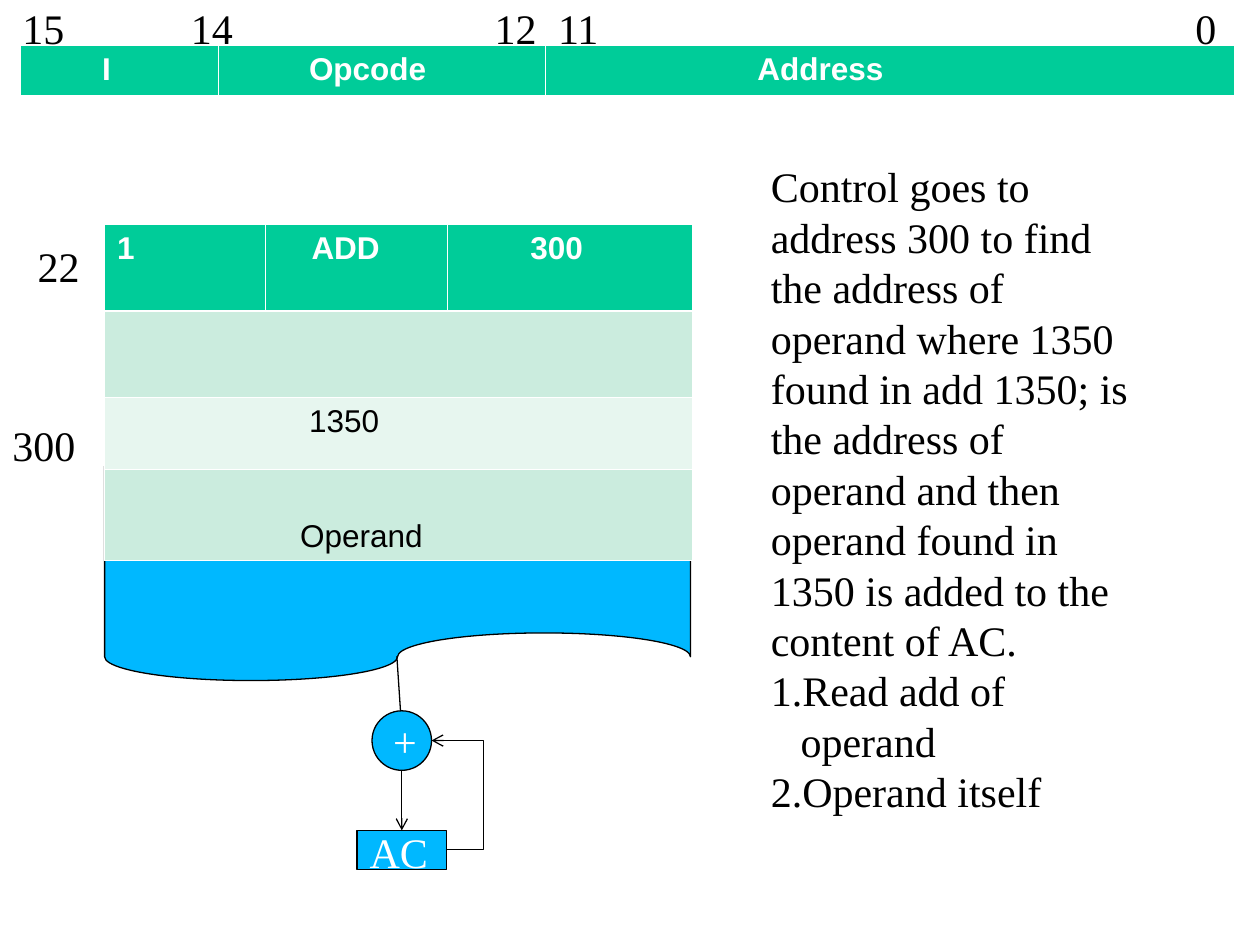
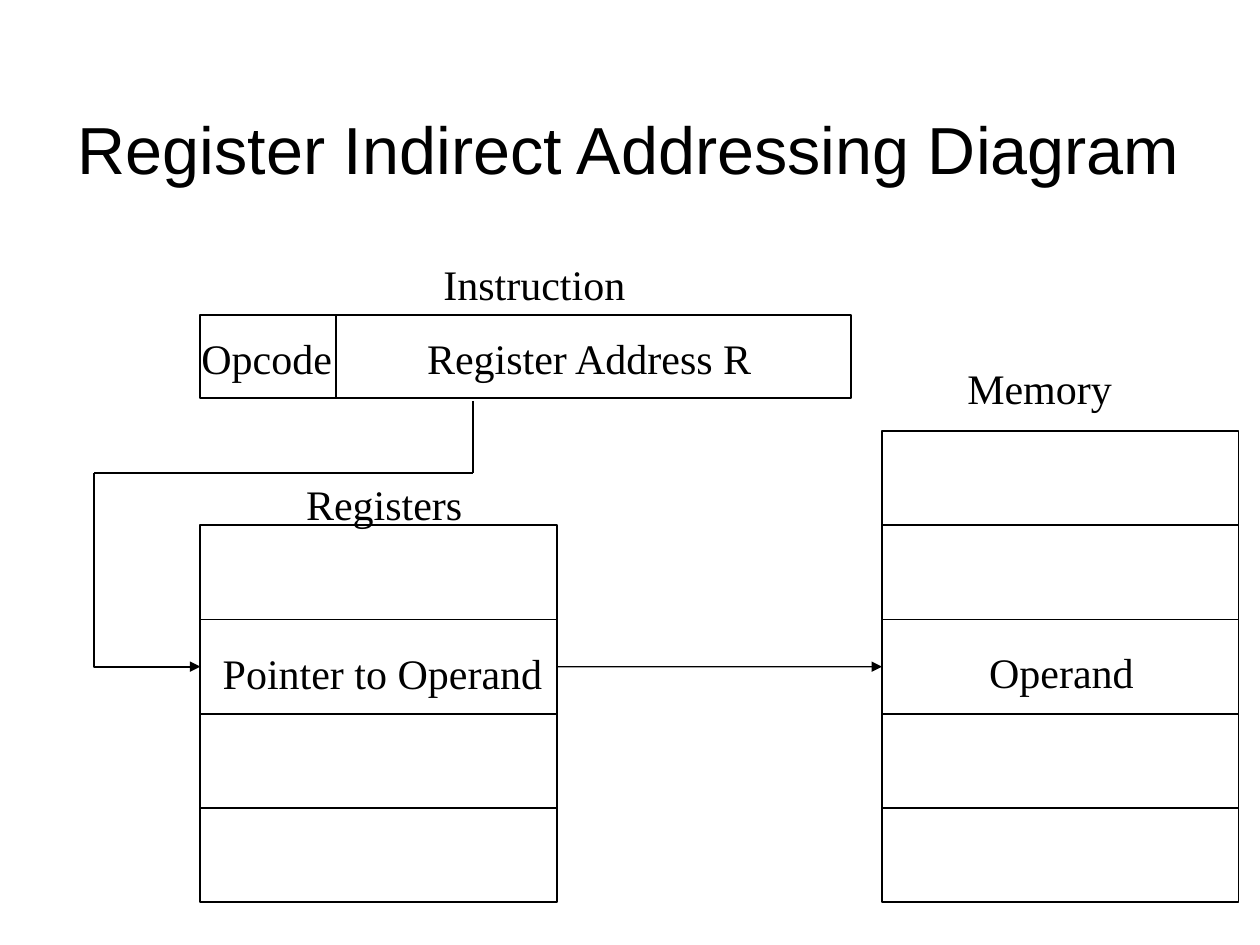
"""Builds two slides on indirect and register indirect addressing."""
from lxml.etree import SubElement
from pptx import Presentation
from pptx.dml.color import RGBColor
from pptx.enum.shapes import MSO_CONNECTOR as Link, MSO_SHAPE as Shape
from pptx.enum.text import MSO_ANCHOR as Anchor, MSO_AUTO_SIZE as Fit, PP_ALIGN as Align
from pptx.oxml.ns import qn
from pptx.util import Cm, Pt

BLACK = RGBColor(0x00, 0x00, 0x00)
WHITE = RGBColor(0xFF, 0xFF, 0xFF)
BLUE = RGBColor(0x00, 0xB8, 0xFF)
GREEN = RGBColor(0x00, 0xCC, 0x99)
MINT = RGBColor(0xCB, 0xEC, 0xDE)
PALE = RGBColor(0xE7, 0xF6, 0xEF)

LABEL = {"name": "Times New Roman", "size": Pt(24), "bold": False}
CELL = {"name": "Arial", "size": Pt(18), "bold": False}
HEADER = CELL | {"bold": True}
TITLE = {"name": "Arial", "size": Pt(38), "bold": False}
ROW_HEIGHT = 1.9
STACK_WIDTH = 7.19


def apply_format(target, values):
    """Set every attribute named in values on target."""
    for name, value in values.items():
        setattr(target, name, value)


def write(para, text, font=LABEL, color=BLACK):
    """Put formatted text in a paragraph."""
    span = para.add_run()
    span.text = text
    apply_format(span.font, font)
    span.font.color.rgb = color


def draw_line(shape, width, arrow=None):
    """Give a shape or connector a black line, without shadow."""
    shape.line.color.rgb = BLACK
    shape.line.width = Pt(width)
    properties = shape.element.spPr
    if arrow:
        SubElement(properties.find(qn("a:ln")), qn("a:tailEnd"), type=arrow)
    if properties.find(qn("a:effectLst")) is None:
        SubElement(properties, qn("a:effectLst"))


def add_label(page, place, *texts, wrap=False):
    """Add a text box with one paragraph for each text."""
    box = page.shapes.add_textbox(*map(Cm, place))
    frame = box.text_frame
    apply_format(frame, {"word_wrap": wrap, "auto_size": Fit.SHAPE_TO_FIT_TEXT})
    for index, text in enumerate(texts):
        write(frame.add_paragraph() if index else frame.paragraphs[0], text)
    return frame.paragraphs


def add_box(page, kind, place, fill=None, text=None, width=0.75):
    """Add a preset shape, filled and labelled on request."""
    box = page.shapes.add_shape(kind, *map(Cm, place))
    if fill is None:
        box.fill.background()
    else:
        box.fill.solid()
        box.fill.fore_color.rgb = fill
    draw_line(box, width)
    if text:
        box.text_frame.vertical_anchor = Anchor.TOP
        para = box.text_frame.paragraphs[0]
        apply_format(para, {"alignment": Align.LEFT, "line_spacing": 0.8})
        write(para, text, color=WHITE)
    return box


def add_line(page, start, end, width=0.75, arrow=None, bend=None):
    """Add a straight connector, or an elbow that turns at x = bend."""
    kind = Link.STRAIGHT if bend is None else Link.ELBOW
    line = page.shapes.add_connector(kind, *map(Cm, start + end))
    draw_line(line, width, arrow)
    if bend is not None:
        turn = round(100000 * (bend - start[0]) / (end[0] - start[0]))
        guides = line.element.spPr.find(qn("a:prstGeom")).get_or_add_avLst()
        SubElement(guides, qn("a:gd"), name="adj1", fmla=f"val {turn}")
    return line


def add_stack(page, left, top, count):
    """Add equal storage cells from top to bottom."""
    return [add_box(page, Shape.RECTANGLE,
                    (left, top + row * ROW_HEIGHT, STACK_WIDTH, ROW_HEIGHT), width=1)
            for row in range(count)]


def set_borders(cell, widths):
    """Draw white cell borders; widths are left, right, top, bottom."""
    properties = cell._tc.get_or_add_tcPr()
    for index, (side, width) in enumerate(zip("LRTB", widths)):
        border = SubElement(properties, qn(f"a:ln{side}"), w=str(Pt(width)))
        fill = SubElement(border, qn("a:solidFill"))
        SubElement(fill, qn("a:srgbClr"), val=str(WHITE))
        properties.insert(index, border)


def add_grid(page, corner, widths, heights, rows):
    """Add a table; rows hold a fill and (text, indent) cells, a lone cell spans."""
    size = (sum(widths), sum(heights))
    grid = page.shapes.add_table(len(rows), len(widths), *map(Cm, corner + size)).table
    for column, width in zip(grid.columns, widths):
        column.width = Cm(width)
    for index, (height, (fill, entries)) in enumerate(zip(heights, rows)):
        grid.rows[index].height = Cm(height)
        if len(entries) < len(widths):
            grid.cell(index, 0).merge(grid.cell(index, len(widths) - 1))
        for cell in grid.rows[index].cells:
            cell.fill.solid()
            cell.fill.fore_color.rgb = fill
            set_borders(cell, (0.45, 0.45, 1.47 if index == 1 else 0.45,
                               0.45 if index else 1.47))
        font, color = (CELL, BLACK) if index else (HEADER, WHITE)
        for column, (text, indent) in enumerate(entries):
            cell = grid.cell(index, column)
            cell.margin_left = Cm(indent)
            if text:
                write(cell.text_frame.paragraphs[0], text, font, color)
    return grid


def set_tabs(para, stops):
    """Give a paragraph left tab stops."""
    tabs = SubElement(para._p.get_or_add_pPr(), qn("a:tabLst"))
    for stop in stops:
        SubElement(tabs, qn("a:tab"), pos=str(Cm(stop)), algn="l")


def number(para):
    """Number a paragraph with a hanging indent."""
    properties = para._p.get_or_add_pPr()
    apply_format(para, {"alignment": Align.LEFT})
    properties.set("marL", str(Cm(0.6)))
    properties.set("indent", str(Cm(-0.6)))
    SubElement(properties, qn("a:buAutoNum"), type="arabicPeriod")


def build_indirect(deck):
    """Show an indirect ADD instruction reaching its operand."""
    page = deck.slides.add_slide(deck.slide_layouts[6])
    add_box(page, Shape.FLOWCHART_PUNCHED_TAPE, (2.11, 8.92, 11.81, 4.8), BLUE)
    memory = add_grid(page, (2.11, 4.52), (3.23, 3.68, 4.93), (1.75, 1.75, 1.45, 1.83), [
        (GREEN, [("1", 0.25), ("ADD", 0.94), ("300", 1.67)]),
        (MINT, [("", 0.25)]),
        (PALE, [("1350", 4.12)]),
        (MINT, [("Operand", 3.94)]),
    ])
    memory.cell(3, 0).vertical_anchor = Anchor.BOTTOM
    add_label(page, (0.51, 4.72, 1.35, 1.27), "22")
    add_line(page, (8, 13.23), (8.1, 14.73), arrow="arrow")
    add_box(page, Shape.OVAL, (7.5, 14.33, 1.2, 1.2), BLUE, "+")
    accumulator = add_box(page, Shape.RECTANGLE, (7.2, 16.74, 1.8, 0.79), BLUE, "AC")
    add_line(page, (8.1, 15.53), (8.1, 16.74), arrow="arrow").end_connect(accumulator, 0)
    add_line(page, (9, 17.13), (8.7, 14.93), arrow="arrow", bend=9.75)
    add_label(page, (0, 8.33, 2.29, 1.27), "300", wrap=True)
    add_grid(page, (0.41, 0.91), (3.99, 6.6, 13.89), (1.02,),
             [(GREEN, [("I", 1.65), ("Opcode", 1.83), ("Address", 4.27)])])
    bits = add_label(page, (0.2, -0.08, 24.71, 1.27), "15\t14\t12\t11\t0", wrap=True)
    set_tabs(bits[0], (3.4, 9.52, 10.8, 23.65))
    notes = add_label(
        page, (15.29, 3.12, 8, 13.46),
        "Control goes to address 300 to find the address of operand where 1350 found in "
        "add 1350; is the address of operand and then operand found in 1350 is added to "
        "the content of AC.", "Read add of operand", "Operand itself", wrap=True)
    for para in notes[1:]:
        number(para)


def build_register(deck):
    """Show a register pointing to an operand in memory."""
    page = deck.slides.add_slide(deck.slide_layouts[5])
    title = page.shapes.title
    apply_format(title, dict(zip(("left", "top", "width", "height"),
                                 map(Cm, (1.27, 0.76, 22.83, 3.15)))))
    apply_format(title.text_frame, {"vertical_anchor": Anchor.BOTTOM, "auto_size": Fit.NONE})
    heading = title.text_frame.paragraphs[0]
    apply_format(heading, {"alignment": Align.CENTER, "line_spacing": 0.81})
    write(heading, "Register Indirect Addressing Diagram", TITLE)

    add_box(page, Shape.RECTANGLE, (4.04, 6.35, 13.11, 1.68), width=1)
    add_line(page, (6.78, 6.37), (6.78, 8.03), 1)
    memory = add_stack(page, 17.78, 8.69, 5)
    registers = add_stack(page, 4.04, 10.59, 4)
    for text, left, top, width in (
            ("Register Address R", 8.36, 6.58, 7.09), ("Opcode", 3.81, 6.58, 3.15),
            ("Instruction", 8.69, 5.08, 4.17), ("Memory", 19.25, 7.19, 3.43),
            ("Operand", 19.69, 12.9, 3.43), ("Pointer to Operand", 4.24, 12.93, 6.96),
            ("Registers", 5.92, 9.53, 3.66)):
        add_label(page, (left, top, width, 1.27), text)

    add_line(page, (9.53, 8.08), (9.53, 9.53), 1)
    add_line(page, (9.53, 9.53), (1.9, 9.53), 1)
    builder = page.shapes.build_freeform(Cm(1.9), Cm(9.53))
    builder.add_line_segments([(Cm(1.9), Cm(13.44)), (Cm(4.04), Cm(13.44))], close=False)
    route = builder.convert_to_shape()
    route.fill.background()
    draw_line(route, 1, "triangle")
    fetch = add_line(page, (11.23, 13.44), (17.78, 13.44), arrow="triangle")
    fetch.begin_connect(registers[1], 3)
    fetch.end_connect(memory[2], 1)


def main():
    """Build and save the deck."""
    deck = Presentation()
    apply_format(deck, {"slide_width": Cm(25.4), "slide_height": Cm(19.05)})
    build_indirect(deck)
    build_register(deck)
    deck.save("out.pptx")


if __name__ == "__main__":
    main()
